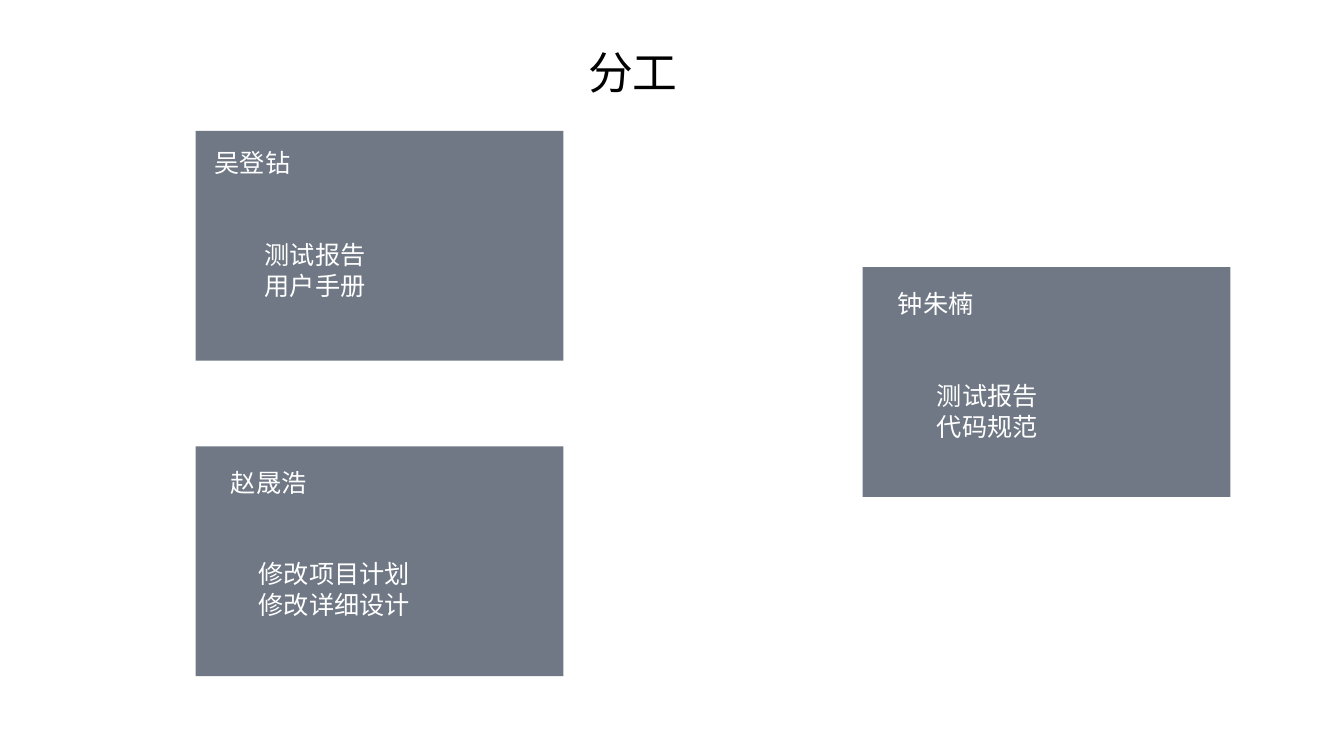
from lxml.etree import SubElement
from pptx import Presentation
from pptx.dml.color import RGBColor
from pptx.enum.shapes import MSO_SHAPE
from pptx.enum.text import MSO_ANCHOR, MSO_AUTO_SIZE, PP_ALIGN
from pptx.oxml.ns import qn
from pptx.util import Cm, Pt

FONT = "Noto Sans CJK SC"
BLACK = RGBColor(0x00, 0x00, 0x00)
WHITE = RGBColor(0xFF, 0xFF, 0xFF)
SLATE = RGBColor(0x33, 0x3F, 0x50)
CARD_OPACITY = 70
CARD_W, CARD_H = 9.27, 5.79
LINE_RATIO = 1.216
NAME_SIZE = 18


class SlideBuilder:
    def __init__(self, prs):
        self.slide = prs.slides.add_slide(prs.slide_layouts[5])

    def style(self, p, size, color):
        p.font.name = FONT
        p.font.size = Pt(size)
        p.font.color.rgb = color
        SubElement(p.font._element, qn("a:ea"), typeface=FONT)
        p.line_spacing = Pt(size * LINE_RATIO)
        p.space_before = Pt(0)

    def title(self, text, left, top, width, height):
        sp = self.slide.shapes.title
        sp.left, sp.top, sp.width, sp.height = map(Cm, (left, top, width, height))
        tf = sp.text_frame
        tf.text = text
        tf.word_wrap = False
        tf.auto_size = MSO_AUTO_SIZE.NONE
        tf.vertical_anchor = MSO_ANCHOR.TOP
        p = tf.paragraphs[0]
        p.alignment = PP_ALIGN.CENTER
        self.style(p, 32, BLACK)

    def panel(self, left, top):
        sp = self.slide.shapes.add_shape(
            MSO_SHAPE.RECTANGLE, Cm(left), Cm(top), Cm(CARD_W), Cm(CARD_H))
        sp.shadow.inherit = False
        sp.line.fill.background()
        sp.fill.solid()
        sp.fill.fore_color.rgb = SLATE
        color = sp._element.spPr.find(qn("a:solidFill"))[0]
        SubElement(color, qn("a:alpha"), val=str(CARD_OPACITY * 1000))

    def duties(self, left, top, name, tasks, indent):
        sp = self.slide.shapes.add_textbox(Cm(left), Cm(top), Cm(7.11), Cm(4.11))
        tf = sp.text_frame
        tf.word_wrap = True
        tf.text = "\n".join([name, *tasks])
        for p in tf.paragraphs:
            self.style(p, NAME_SIZE, WHITE)
        for p in tf.paragraphs[1:]:
            p._p.get_or_add_pPr().set("marL", str(Cm(indent)))
        # Two lines of space between the name and the tasks
        tf.paragraphs[1].space_before = Pt(2 * NAME_SIZE * LINE_RATIO)


# Card position, text offset inside the card, name, tasks, task indent
CARDS = [
    ((4.93, 3.3), (0.23, 0.28), "吴登钻", ["测试报告", "用户手册"], 1.26),
    ((21.74, 6.73), (0.64, 0.41), "钟朱楠", ["测试报告", "代码规范"], 0.98),
    ((4.93, 11.25), (0.64, 0.38), "赵晟浩", ["修改项目计划", "修改详细设计"], 0.7),
]


def main():
    prs = Presentation()
    prs.slide_width, prs.slide_height = Cm(33.87), Cm(19.05)
    s = SlideBuilder(prs)

    # Heading
    s.title("分工", 14.55, 0.99, 2.8, 1.63)

    # One card per team member
    for (left, top), (dx, dy), name, tasks, indent in CARDS:
        s.panel(left, top)
        s.duties(left + dx, top + dy, name, tasks, indent)

    prs.save("out.pptx")


if __name__ == "__main__":
    main()
